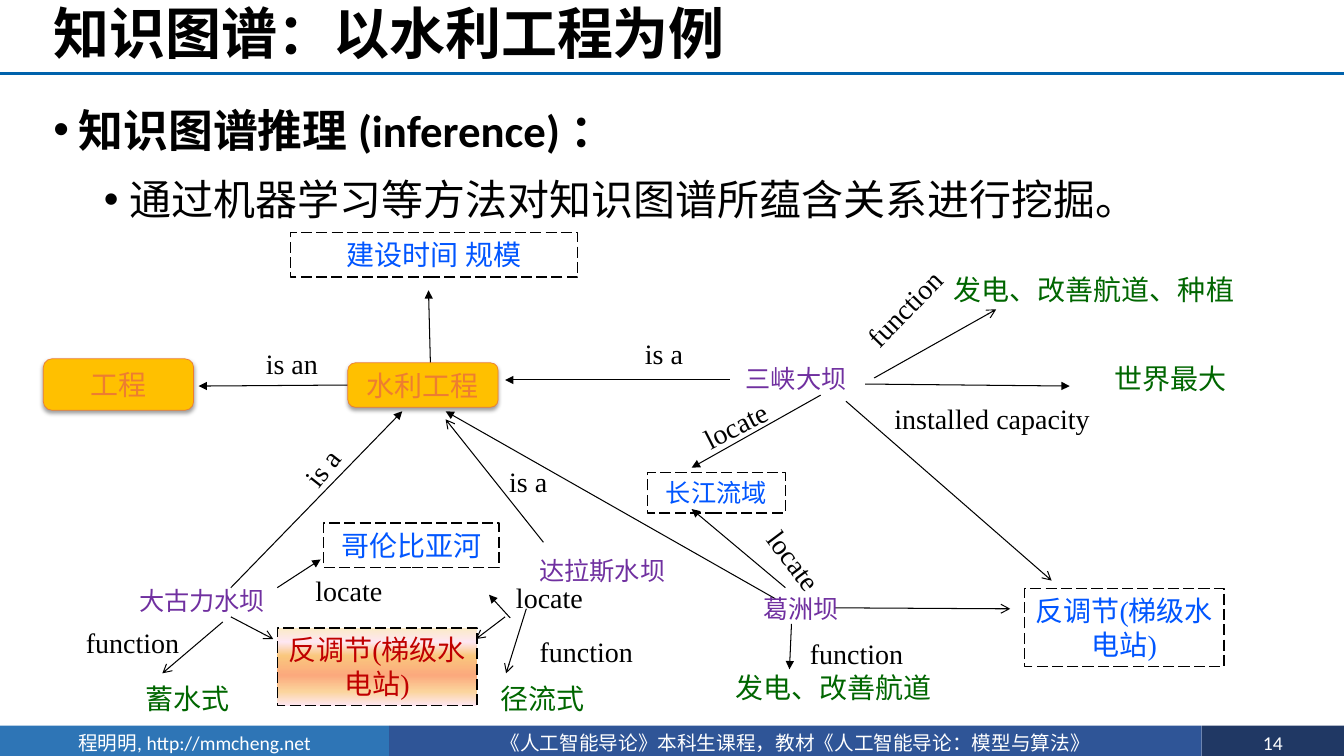
from lxml import etree
from pptx import Presentation
from pptx.dml.color import RGBColor
from pptx.enum.dml import MSO_LINE
from pptx.enum.shapes import MSO_CONNECTOR, MSO_SHAPE
from pptx.enum.text import MSO_ANCHOR, MSO_AUTO_SIZE, PP_ALIGN
from pptx.oxml import parse_xml
from pptx.oxml.ns import nsdecls, qn
from pptx.util import Inches, Pt

STRAIGHT = MSO_CONNECTOR.STRAIGHT
RECTANGLE = MSO_SHAPE.RECTANGLE
ROUNDED = MSO_SHAPE.ROUNDED_RECTANGLE
LONG_DASH = MSO_LINE.LONG_DASH
MIDDLE, TOP = MSO_ANCHOR.MIDDLE, MSO_ANCHOR.TOP
LEFT, CENTER = PP_ALIGN.LEFT, PP_ALIGN.CENTER
NO_FIT, FIT_SHAPE = MSO_AUTO_SIZE.NONE, MSO_AUTO_SIZE.SHAPE_TO_FIT_TEXT

COLORS = {
    "black": "000000", "white": "FFFFFF", "rule": "0062AC",
    "author": "2E75B6", "course": "2F5597", "number": "203864",
    "dam": "7030A0", "fact": "006600", "attribute": "0156FF",
    "inferred": "C00000", "concept": "FFC000", "edge": "ED7D31",
}
INFERRED_STOPS = [(0, "FBEAC7"), (18, "FEE7F2"), (36, "FAC77D"),
                  (61, "FBA97D"), (82, "FBD49C"), (100, "FEE7F2")]


def write_text(shape, text, size, color, font="Times New Roman"):
    frame = shape.text_frame
    frame.word_wrap = True
    frame.auto_size = FIT_SHAPE
    frame.vertical_anchor = TOP
    frame.text = text
    paragraph = frame.paragraphs[0]
    paragraph.alignment = CENTER
    run_font = paragraph.runs[0].font
    run_font.name = font
    run_font.size = Pt(size)
    run_font.color.rgb = RGBColor.from_string(COLORS[color])


def draw_line(start, end, color, width, head=None):
    line = slide.shapes.add_connector(STRAIGHT, *map(Inches, start + end))
    line.line.color.rgb = RGBColor.from_string(COLORS[color])
    line.line.width = Pt(width)
    if head:
        etree.SubElement(line.line._get_or_add_ln(), qn("a:tailEnd"), type=head)
    etree.SubElement(line._element.spPr, qn("a:effectLst"))


presentation = Presentation()
presentation.slide_width = Inches(13.33)
presentation.slide_height = Inches(7.5)
slide = presentation.slides.add_slide(presentation.slide_layouts[1])

title = slide.shapes.title
body = slide.placeholders[1]
title.text_frame.text = "知识图谱：以水利工程为例"
body.text_frame.text = (
    "知识图谱推理 (inference) ：\n通过机器学习等方法对知识图谱所蕴含关系进行挖掘。")

for placeholder, place, anchor in [(title, (0.43, 0, 12.9, 0.73), MIDDLE),
                                   (body, (0.43, 0.86, 12.42, 6.34), TOP)]:
    placeholder.left, placeholder.top, placeholder.width, placeholder.height = map(Inches, place)
    placeholder.text_frame.vertical_anchor = anchor
    placeholder.text_frame.auto_size = NO_FIT
    placeholder.text_frame.word_wrap = True

heading = title.text_frame.paragraphs[0]
topic, detail = body.text_frame.paragraphs
detail.level = 1
for paragraph, indent in [(topic, 0.25), (detail, 0.75)]:
    properties = paragraph._p.get_or_add_pPr()
    properties.set("marL", str(Inches(indent)))
    properties.set("indent", str(Inches(-0.25)))
    etree.SubElement(properties, qn("a:buFont"), typeface="Arial")
    etree.SubElement(properties, qn("a:buChar"), char="•")

for paragraph, size, bold, spacing, before in [(heading, 40, True, 0.9, 0),
                                               (topic, 32, True, 1.2, 0),
                                               (detail, 30, False, 1.2, 5)]:
    paragraph.alignment = LEFT
    paragraph.line_spacing = spacing
    paragraph.space_before = Pt(before)
    for run in paragraph.runs:
        run.font.name = "Calibri"
        run.font.size = Pt(size)
        run.font.bold = bold
        run.font.color.rgb = RGBColor.from_string(COLORS["black"])

draw_line((0, 0.73), (13.33, 0.73), "rule", 2)

for text, left, width, color in [
    ("程明明, http://mmcheng.net", 0, 3.86, "author"),
    ("《人工智能导论》本科生课程，教材《人工智能导论：模型与算法》", 3.86, 8.06, "course"),
    ("14", 11.92, 1.41, "number"),
]:
    footer = slide.shapes.add_shape(
        RECTANGLE, Inches(left), Inches(7.2), Inches(width), Inches(0.34))
    footer.shadow.inherit = False
    footer.fill.solid()
    footer.fill.fore_color.rgb = RGBColor.from_string(COLORS[color])
    footer.line.fill.background()
    write_text(footer, text, 14, "white", "Calibri")

arrows = {
    "triangle": [
        ((3.45, 3.82), (1.97, 3.83)), ((7.24, 3.77), (5.01, 3.77)),
        ((8.58, 3.81), (10.61, 3.83)), ((4.27, 3.64), (4.25, 2.88)),
        ((2.29, 5.83), (3.99, 4.08)), ((7.69, 5.94), (4.42, 4.08)),
        ((7.79, 5.83), (6.86, 5.05)), ((8.14, 3.92), (6.86, 4.64)),
        ((7.85, 6.19), (7.83, 6.64)), ((2.75, 5.83), (3.18, 5.55)),
        ((5.06, 6.13), (4.85, 5.9)),
    ],
    "arrow": [
        ((8.28, 6.03), (10.02, 6.04)), ((8.39, 3.98), (10.43, 5.76)),
        ((8.67, 3.75), (9.88, 3.07)), ((2.21, 6.17), (1.61, 6.68)),
        ((5.39, 5.38), (4.42, 4.16)), ((5.22, 6.04), (5.02, 6.68)),
        ((2.29, 6.12), (2.71, 6.34)), ((5.01, 6.12), (4.72, 6.34)),
    ],
}
for head, routes in arrows.items():
    for start, end in routes:
        draw_line(start, end, "black", 0.75, head)

relations = [
    ("is an", 1.9, 3.39, 1.99, 0), ("is a", 2.46, 4.42, 1.47, 308.4),
    ("is a", 5.59, 3.29, 1.99, 0), ("is a", 4.84, 4.56, 0.8, 0),
    ("function", 8.27, 2.84, 1.4, 314.2), ("function", 7.89, 6.27, 1.21, 0),
    ("function", 0.71, 6.16, 1.21, 0), ("function", 5.21, 6.25, 1.21, 0),
    ("locate", 7.13, 5.34, 1.49, 53.1), ("locate", 6.75, 4, 1.09, 332.9),
    ("locate", 2.87, 5.64, 1.18, 0), ("locate", 4.86, 5.71, 1.18, 0),
    ("installed capacity", 8.73, 3.93, 2.22, 0),
]
dams = [
    ("三峡大坝", 6.9, 3.56, 1.99, 0), ("葛洲坝", 6.95, 5.84, 1.99, 0),
    ("大古力水坝", 1.01, 5.76, 1.99, 0), ("达拉斯水坝", 4.76, 5.46, 2.43, 0),
]
facts = [
    ("发电、改善航道、种植", 9.3, 2.65, 3.1, 0), ("发电、改善航道", 7, 6.6, 2.54, 0),
    ("世界最大", 10.61, 3.54, 2, 0), ("蓄水式", 1.22, 6.71, 1.28, 0),
    ("径流式", 4.74, 6.71, 1.28, 0),
]
for labels, size, height, color in [(relations, 20, 0.44, "black"),
                                    (dams, 18, 0.4, "dam"),
                                    (facts, 20, 0.44, "fact")]:
    for text, left, top, width, rotation in labels:
        label = slide.shapes.add_textbox(*map(Inches, (left, top, width, height)))
        label.rotation = rotation
        write_text(label, text, size, color)

for text, place, size, color in [
    ("长江流域", (6.42, 4.69, 1.37, 0.4), 18, "attribute"),
    ("建设时间 规模", (2.88, 2.31, 2.85, 0.44), 20, "attribute"),
    ("哥伦比亚河", (3.21, 5.19, 1.74, 0.44), 20, "attribute"),
    ("反调节(梯级水电站)", (10.16, 5.84, 1.98, 0.77), 20, "attribute"),
    ("反调节(梯级水电站)", (2.75, 6.23, 1.98, 0.77), 20, "inferred"),
]:
    box = slide.shapes.add_shape(RECTANGLE, *map(Inches, place))
    box.shadow.inherit = False
    box.line.color.rgb = RGBColor.from_string(COLORS["black"])
    box.line.width = Pt(1)
    box.line.dash_style = LONG_DASH
    if color == "inferred":
        box.fill.gradient()
        box.fill.gradient_angle = 270
        stops = box._element.spPr.find(qn("a:gradFill")).find(qn("a:gsLst"))
        stops.clear()
        for position, stop_color in INFERRED_STOPS:
            stop = etree.SubElement(stops, qn("a:gs"), pos=str(position * 1000))
            etree.SubElement(stop, qn("a:srgbClr"), val=stop_color)
    else:
        box.fill.background()
    write_text(box, text, size, color)

for text, place in [("工程", (0.43, 3.56, 1.49, 0.51)),
                    ("水利工程", (3.45, 3.6, 1.49, 0.44))]:
    concept = slide.shapes.add_shape(ROUNDED, *map(Inches, place))
    concept.fill.solid()
    concept.fill.fore_color.rgb = RGBColor.from_string(COLORS["concept"])
    concept.line.color.rgb = RGBColor.from_string(COLORS["edge"])
    concept.line.width = Pt(0.5)
    concept._element.spPr.append(parse_xml(
        f'<a:effectLst {nsdecls("a")}><a:outerShdw blurRad="{Pt(3.1)}" dist="{Pt(1.6)}" '
        'dir="5400000" rotWithShape="0"><a:srgbClr val="000000"><a:alpha val="38000"/>'
        '</a:srgbClr></a:outerShdw></a:effectLst>'))
    write_text(concept, text, 20, "edge")
    frame = concept.text_frame
    frame.auto_size = NO_FIT
    frame.word_wrap = False
    frame.vertical_anchor = MIDDLE
    frame.margin_top = frame.margin_bottom = 0

presentation.save("out.pptx")
